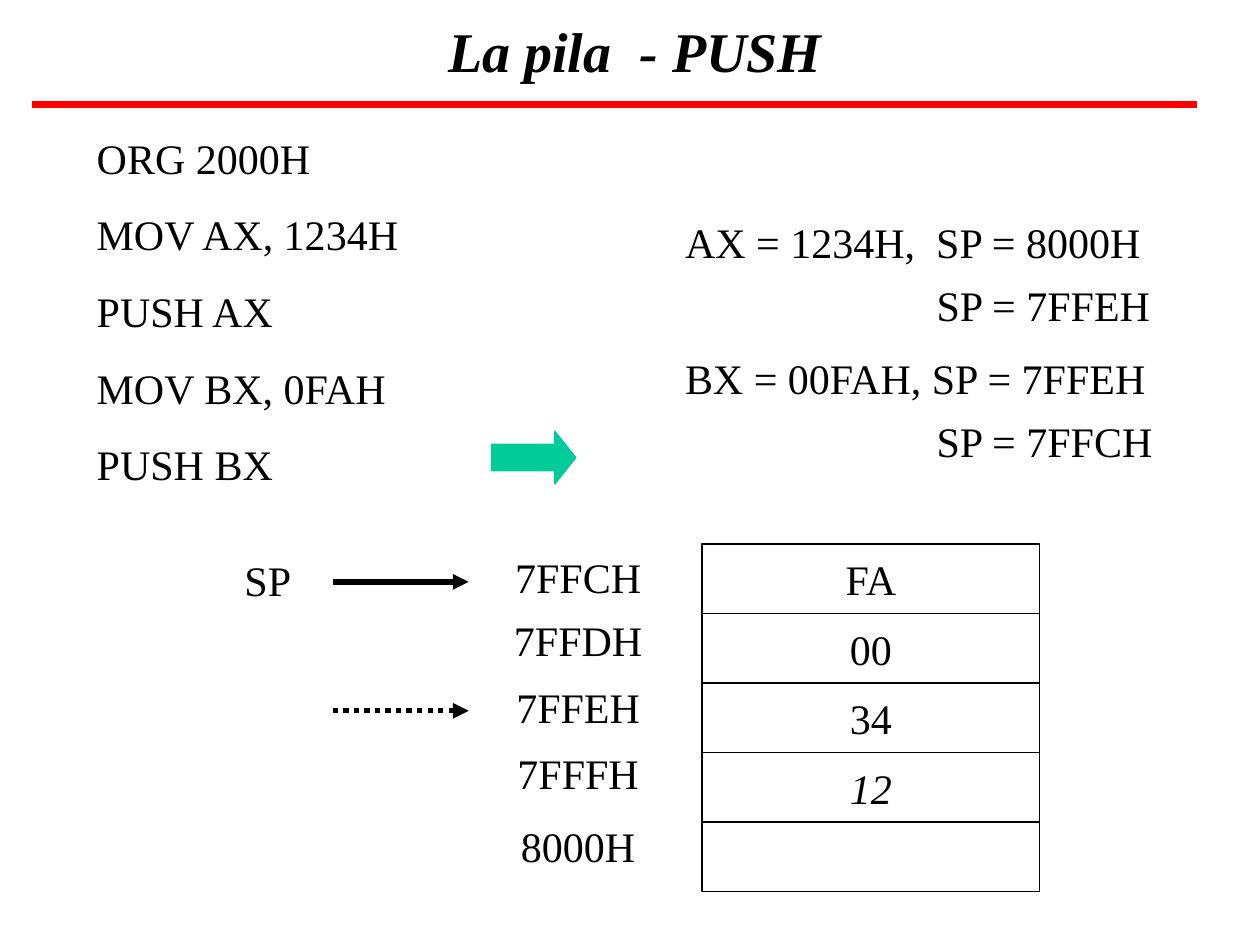
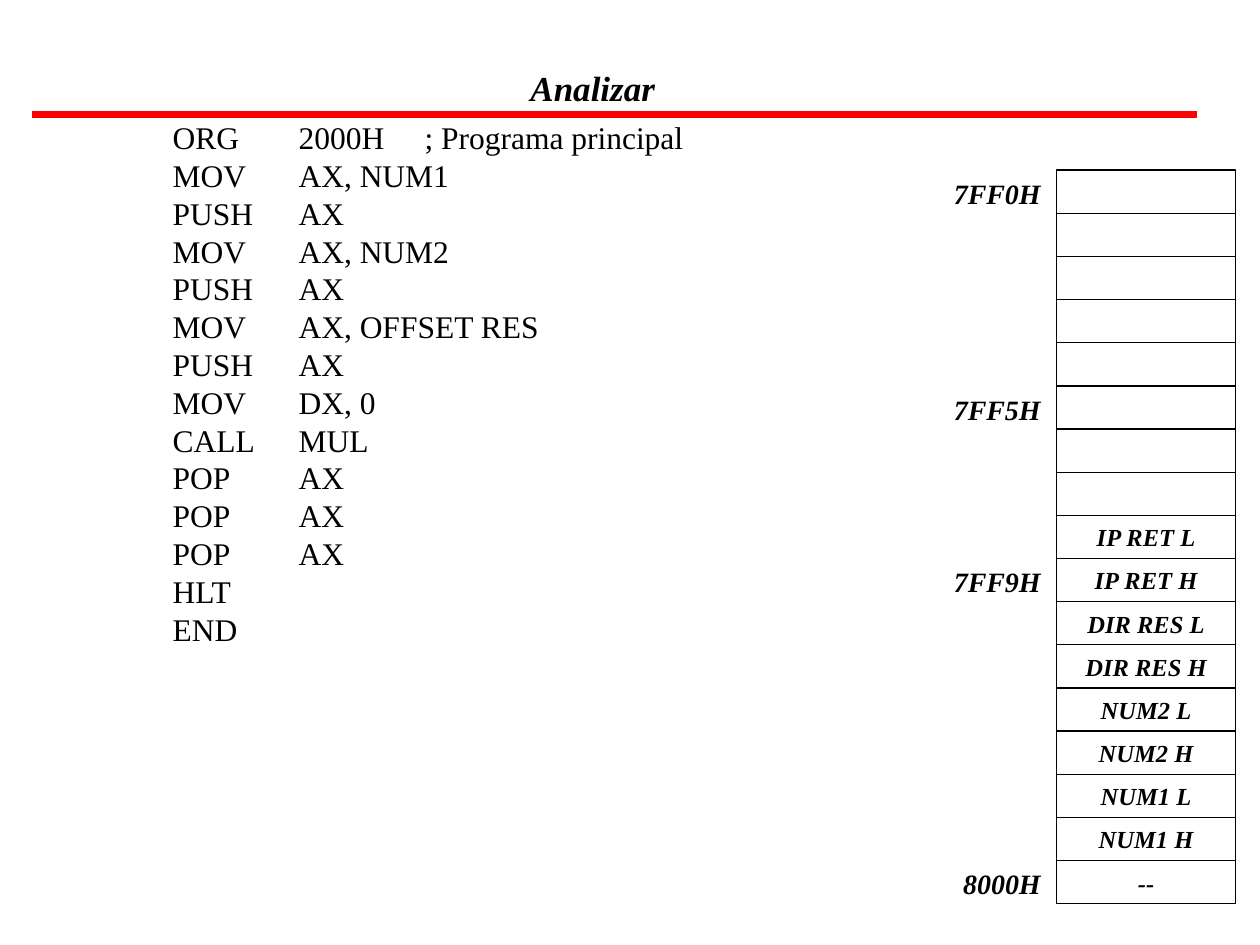
from dataclasses import dataclass

from lxml import etree
from pptx import Presentation
from pptx import util as u
from pptx.dml.color import RGBColor
from pptx.enum import dml, shapes, text
from pptx.oxml.ns import qn


@dataclass(frozen=True)
class Theme:
    font: str = "Times New Roman"
    ink: RGBColor = RGBColor(0x00, 0x00, 0x00)
    rule: RGBColor = RGBColor(0xFF, 0x00, 0x00)
    accent: RGBColor = RGBColor(0x00, 0xCC, 0x99)
    title: int = 32
    body: int = 24
    subtitle: int = 20
    code: int = 18
    address: int = 16
    cell: int = 14


theme = Theme()
LEFT, CENTER, RIGHT = text.PP_ALIGN.LEFT, text.PP_ALIGN.CENTER, text.PP_ALIGN.RIGHT
TOP, MIDDLE = text.MSO_ANCHOR.TOP, text.MSO_ANCHOR.MIDDLE
STRONG = {"bold": True, "italic": True}


def add_text(page, place, lines, size, align=LEFT, anchor=TOP, framed=False,
             gap=0, tabs=(), **style):
    """Write lines at place (left, top, width, height in cm), in an outlined box if framed."""
    place = [u.Cm(length) for length in place]
    if framed:
        box = page.shapes.add_shape(shapes.MSO_SHAPE.RECTANGLE, *place)
        box.shadow.inherit = False
        box.fill.background()
        box.line.color.rgb = theme.ink
        box.line.width = u.Pt(0.75)
    else:
        box = page.shapes.add_textbox(*place)
    frame = box.text_frame
    frame.word_wrap = True
    frame.vertical_anchor = anchor
    for index, line in enumerate(lines):
        para = frame.paragraphs[0] if index == 0 else frame.add_paragraph()
        para.alignment = align
        if index and gap:
            para.space_before = u.Pt(gap)
        if tabs:
            stops = etree.SubElement(para._p.get_or_add_pPr(), qn("a:tabLst"))
            for stop in tabs:
                etree.SubElement(stops, qn("a:tab"), pos=str(u.Cm(stop)), algn="l")
        span = para.add_run()
        span.text = line
        span.font.color.rgb = theme.ink
        looks = {"name": theme.font, "size": u.Pt(size), **style}
        for name, value in looks.items():
            setattr(span.font, name, value)


def add_level_line(page, start, end, height, color, width):
    line = page.shapes.add_connector(
        shapes.MSO_CONNECTOR.STRAIGHT, u.Cm(start), u.Cm(height), u.Cm(end), u.Cm(height))
    line.line.color.rgb = color
    line.line.width = u.Pt(width)
    etree.SubElement(line._element.spPr, qn("a:effectLst"))
    return line


deck = Presentation()
deck.slide_width, deck.slide_height = u.Cm(25.4), u.Cm(19.05)

# Titles and red rules
headings = [
    ("La pila  - PUSH", (2.11, 0.3, 21.39, 1.42), theme.title, 2.11),
    ("Analizar", (0, 0.71, 23.9, 2.11), theme.subtitle, 2.31),
]
pages = []
for heading, place, size, rule_height in headings:
    page = deck.slides.add_slide(deck.slide_layouts[6])
    add_text(page, place, [heading], size, CENTER, MIDDLE, **STRONG)
    add_level_line(page, 0.64, 24.13, rule_height, theme.rule, 4)
    pages.append(page)
push_page, program_page = pages

# PUSH: instructions and register values
instructions = ["ORG 2000H", "MOV AX, 1234H", "PUSH AX", "MOV BX, 0FAH", "PUSH BX"]
add_text(push_page, (1.7, 2.54, 11, 9), instructions, theme.body, gap=15)

registers = [
    (13.56, 4.24, "AX = 1234H,  SP = 8000H"),
    (18.63, 5.51, "SP = 7FFEH"),
    (13.56, 6.99, "BX = 00FAH, SP = 7FFEH"),
    (18.63, 8.26, "SP = 7FFCH"),
]
for left, top, values in registers:
    add_text(push_page, (left, top, 24.1 - left, 1.27), [values], theme.body)

step_arrow = push_page.shapes.add_shape(
    shapes.MSO_SHAPE.RIGHT_ARROW, u.Cm(9.91), u.Cm(8.69), u.Cm(1.7), u.Cm(1.07))
step_arrow.shadow.inherit = False
step_arrow.adjustments[0], step_arrow.adjustments[1] = 0.5, 0.4
step_arrow.fill.solid()
step_arrow.fill.fore_color.rgb = theme.accent
step_arrow.line.color.rgb = theme.accent
step_arrow.line.width = u.Pt(0.75)

# PUSH: stack memory with its addresses
stack_bytes = ["FA", "00", "34", "12", ""]
address_tops = [11, 12.27, 13.61, 14.94, 16.41]
for row, (content, address_top) in enumerate(zip(stack_bytes, address_tops)):
    add_text(push_page, (14.15, 10.97 + 1.4 * row, 6.81, 1.4), [content] if content else [],
             theme.body, CENTER, MIDDLE, framed=True, italic=content == "12")
    add_text(push_page, (9.75, address_top, 3.81, 1.27), [f"{0x7FFC + row:X}H"],
             theme.body, CENTER)

add_text(push_page, (3.81, 11.05, 3.18, 1.27), ["SP"], theme.body, CENTER)
for height, dash in [(11.73, None), (14.33, dml.MSO_LINE.ROUND_DOT)]:
    pointer = add_level_line(push_page, 6.71, 9.45, height, theme.ink, 3)
    pointer.line.dash_style = dash
    etree.SubElement(pointer.line._get_or_add_ln(), qn("a:tailEnd"), type="triangle")

# Program listing
program = [
    "ORG\t2000H\t; Programa principal",
    "MOV\tAX, NUM1",
    "PUSH\tAX",
    "MOV\tAX, NUM2",
    "PUSH\tAX",
    "MOV\tAX, OFFSET RES",
    "PUSH\tAX",
    "MOV\tDX, 0",
    "CALL\tMUL",
    "POP\tAX",
    "POP\tAX",
    "POP\tAX",
    "HLT",
    "END",
]
add_text(program_page, (3.23, 2.26, 16.6, 11.68), program, theme.code, tabs=(2.54, 5.08))

# Program stack, from 7FF0H to 8000H
stack_cells = [""] * 8 + [
    "IP RET L", "IP RET H", "DIR RES L", "DIR RES H",
    "NUM2 L", "NUM2 H", "NUM1 L", "NUM1 H", "--",
]
labelled_rows = {0, 5, 9, 16}
for row, content in enumerate(stack_cells):
    top = 3.43 + 0.87 * row
    add_text(program_page, (21.3, top, 3.61, 0.87), [content] if content else [],
             theme.cell, CENTER, MIDDLE, framed=True, **STRONG)
    if row in labelled_rows:
        add_text(program_page, (18.11, top, 3.12, 0.94), [f"{0x7FF0 + row:X}H"],
                 theme.address, RIGHT, **STRONG)

deck.save("out.pptx")
